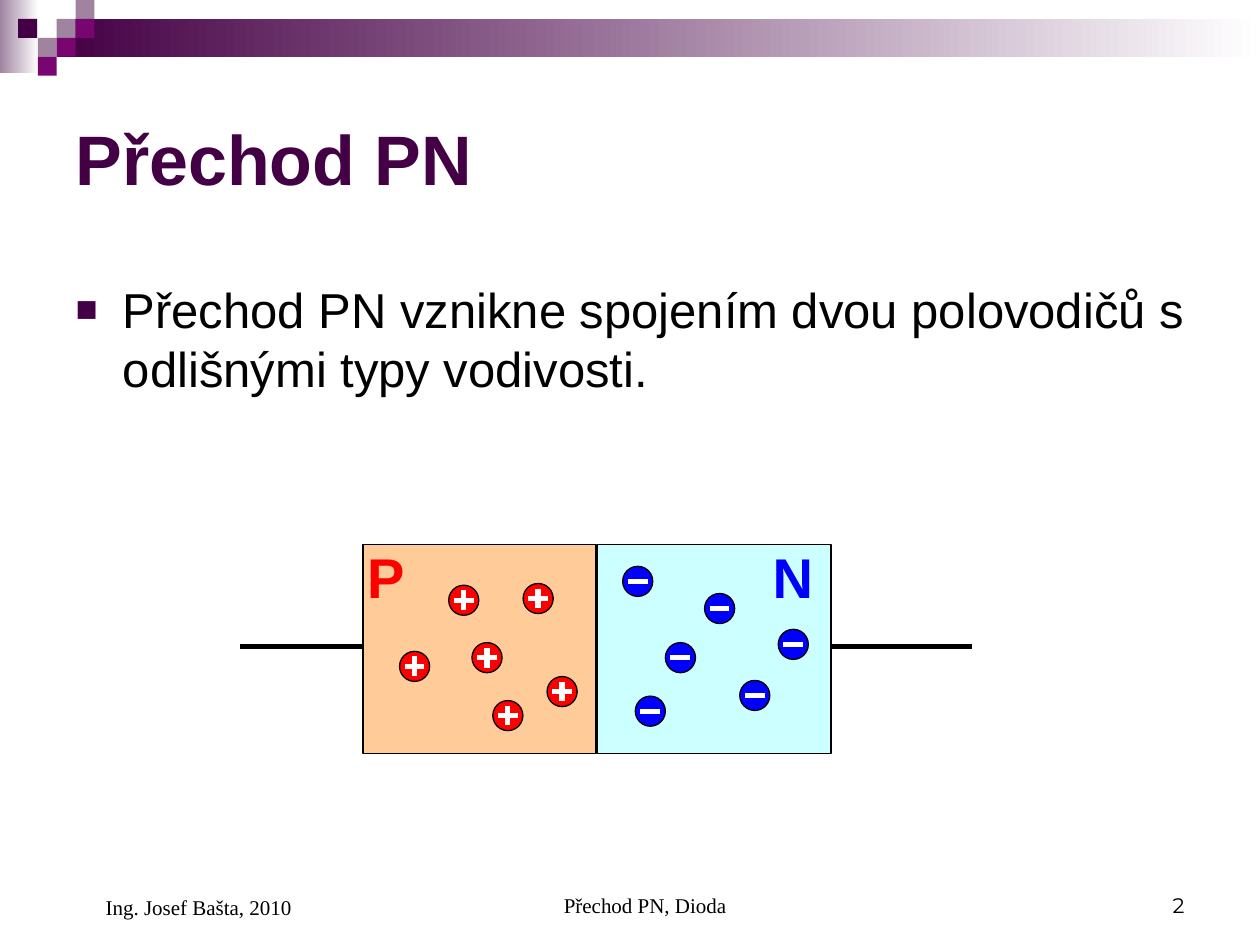
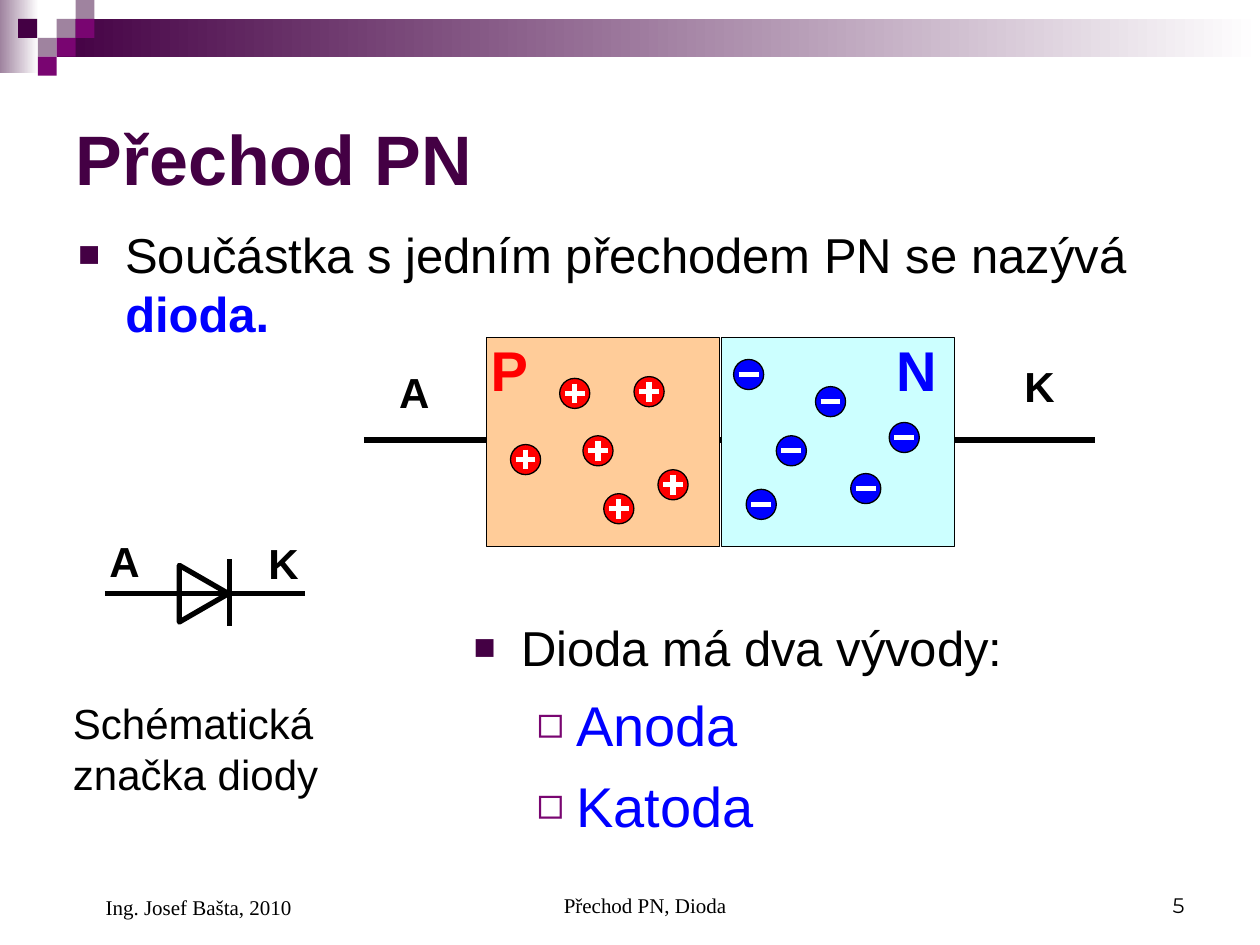
from typing import NamedTuple

from lxml.etree import SubElement
from pptx import Presentation
from pptx.dml.color import RGBColor
from pptx.enum.shapes import MSO_CONNECTOR, MSO_SHAPE
from pptx.enum.text import MSO_ANCHOR, MSO_AUTO_SIZE, PP_ALIGN
from pptx.oxml.ns import qn
from pptx.util import Pt

COLORS = {
    "plum": "440044",
    "violet": "790571",
    "mauve": "9F839F",
    "white": "FFFFFF",
    "black": "000000",
    "red": "FF0000",
    "blue": "0000FF",
    "p_region": "FFCC99",
    "n_region": "CCFFFF",
}


class Frame(NamedTuple):
    left: float
    top: float
    width: float
    height: float


class Span(NamedTuple):
    text: str
    size: float
    color: str = "black"
    bold: bool = False
    font: str = "Arial"


class Bullet(NamedTuple):
    symbol: str
    color: str
    percent: int
    margin: float
    hanging: float
    level: int


class Item(NamedTuple):
    spans: list[Span]
    bullet: Bullet
    space_before: float = 0


class Footer(NamedTuple):
    frame: Frame
    align: PP_ALIGN
    margin: float
    font: str


class Tile(NamedTuple):
    left: float
    top: float
    color: str


MAIN = Bullet("■", "plum", 75, 27, 27, 0)
SUB = Bullet("◻", "violet", 80, 58.5, 22.5, 1)
TITLE_FRAME = Frame(36, 36, 648, 108)
TILE_SIZE = 10.8
TILES = [
    Tile(32.4, 10.8, "mauve"),
    Tile(43.2, 0, "mauve"),
    Tile(43.2, 10.8, "violet"),
    Tile(21.6, 21.6, "mauve"),
    Tile(10.4, 10.8, "plum"),
    Tile(32.4, 21.6, "violet"),
    Tile(21.6, 32.4, "violet"),
]
BANDS = [(Frame(0, 0, 22, 42), "mauve"), (Frame(32.4, 10.8, 687.6, 21.6), "plum")]
AUTHOR = Footer(Frame(36, 492, 168, 37.2), PP_ALIGN.LEFT, 17.3, "Times New Roman")
TOPIC = Footer(Frame(246, 492, 228, 36), PP_ALIGN.CENTER, 17.3, "Times New Roman")
NUMBER = Footer(Frame(516, 492, 168, 36), PP_ALIGN.RIGHT, 0, "Montserrat")

REGION_WIDTH, REGION_HEIGHT, REGION_STEP = 133.2, 119.5, 134.2
CHARGE_SIZE, SIGN_SIZE = 17.2, 11.3
HOLES = [(50.4, 32), (22.3, 69.8), (92.9, 31), (63.7, 64.8), (106.6, 84.2), (75.6, 97.9)]
ELECTRONS = [(149.8, 21.2), (196.6, 36.7), (174.2, 64.8), (157, 95.4), (216.7, 86.4), (238.7, 57.2)]


def rgb(name: str) -> RGBColor:
    return RGBColor.from_string(COLORS[name])


def place(shape, frame: Frame) -> None:
    shape.left, shape.top, shape.width, shape.height = map(Pt, frame)


def add_spans(para, spans: list[Span]) -> None:
    for item in spans:
        span = para.add_run()
        span.text = item.text
        span.font.name = item.font
        span.font.size = Pt(item.size)
        span.font.bold = item.bold
        span.font.color.rgb = rgb(item.color)


def add_line(page, x1: float, y1: float, x2: float, y2: float, color: str = "black") -> None:
    line = page.shapes.add_connector(MSO_CONNECTOR.STRAIGHT, Pt(x1), Pt(y1), Pt(x2), Pt(y2))
    line.line.color.rgb = rgb(color)
    line.line.width = Pt(3)
    SubElement(line._element.spPr, qn("a:effectLst"))


def add_figure(page, kind: MSO_SHAPE, frame: Frame, fill: str | None, line_width: float = 0):
    shape = page.shapes.add_shape(kind, *map(Pt, frame))
    shape.shadow.inherit = False
    if fill:
        shape.fill.solid()
        shape.fill.fore_color.rgb = rgb(fill)
    else:
        shape.fill.background()
    if line_width:
        shape.line.color.rgb = rgb("black")
        shape.line.width = Pt(line_width)
    else:
        shape.line.fill.background()
    return shape


def add_label(page, frame: Frame, span: Span) -> None:
    box = page.shapes.add_textbox(*map(Pt, frame))
    box.text_frame.word_wrap = True
    box.text_frame.auto_size = MSO_AUTO_SIZE.SHAPE_TO_FIT_TEXT
    add_spans(box.text_frame.paragraphs[0], [span])


def add_footer(page, footer: Footer, text: str) -> None:
    box = page.shapes.add_textbox(*map(Pt, footer.frame))
    box.text_frame.word_wrap = True
    box.text_frame.vertical_anchor = MSO_ANCHOR.BOTTOM
    para = box.text_frame.paragraphs[0]
    para.alignment = footer.align
    para._p.get_or_add_pPr().set("marL", str(Pt(footer.margin)))
    add_spans(para, [Span(text, 12, font=footer.font)])


def set_bullet(para, bullet: Bullet) -> None:
    para.level = bullet.level
    props = para._p.get_or_add_pPr()
    props.set("marL", str(Pt(bullet.margin)))
    props.set("indent", str(-Pt(bullet.hanging)))
    color = SubElement(props, qn("a:buClr"))
    SubElement(color, qn("a:srgbClr"), val=COLORS[bullet.color])
    SubElement(props, qn("a:buSzPct"), val=str(bullet.percent * 1000))
    SubElement(props, qn("a:buChar"), char=bullet.symbol)


def fill_list(body, frame: Frame, items: list[Item]) -> None:
    place(body, frame)
    text = body.text_frame
    text.auto_size = MSO_AUTO_SIZE.NONE
    for index, item in enumerate(items):
        para = text.add_paragraph() if index else text.paragraphs[0]
        set_bullet(para, item.bullet)
        para.space_before = Pt(item.space_before)
        add_spans(para, item.spans)


def add_page(deck, layout: int, number: str):
    page = deck.slides.add_slide(deck.slide_layouts[layout])
    for frame, color in BANDS:
        band = add_figure(page, MSO_SHAPE.RECTANGLE, frame, color)
        band.fill.gradient()
        band.fill.gradient_angle = 0
        for stop, name in zip(band.fill.gradient_stops, (color, "white")):
            stop.color.rgb = rgb(name)
    for tile in TILES:
        frame = Frame(tile.left, tile.top, TILE_SIZE, TILE_SIZE)
        add_figure(page, MSO_SHAPE.RECTANGLE, frame, tile.color)

    title = page.shapes.title
    place(title, TITLE_FRAME)
    title.text_frame.auto_size = MSO_AUTO_SIZE.NONE
    title.text_frame.vertical_anchor = MSO_ANCHOR.MIDDLE
    para = title.text_frame.paragraphs[0]
    para.alignment = PP_ALIGN.LEFT
    add_spans(para, [Span("Přechod PN", 40, "plum", True)])

    add_footer(page, TOPIC, "Přechod PN, Dioda")
    add_footer(page, NUMBER, number)
    add_footer(page, AUTHOR, "Ing. Josef Bašta, 2010")
    return page


def add_charge(page, x: float, y: float, color: str, positive: bool) -> None:
    radius, arm = CHARGE_SIZE / 2, SIGN_SIZE / 2
    frame = Frame(x - radius, y - radius, CHARGE_SIZE, CHARGE_SIZE)
    add_figure(page, MSO_SHAPE.OVAL, frame, color, 0.75)
    add_line(page, x - arm, y, x + arm, y, "white")
    if positive:
        add_line(page, x, y - arm, x, y + arm, "white")


def add_junction(page, left: float, top: float, charge_shift: float = 0) -> None:
    add_line(page, left - 70, top + 58.6, left + 348, top + 58.6)
    for index, fill in enumerate(("p_region", "n_region")):
        frame = Frame(left + index * REGION_STEP, top, REGION_WIDTH, REGION_HEIGHT)
        add_figure(page, MSO_SHAPE.RECTANGLE, frame, fill, 0.75)
    for text, offset, color in (("P", -4.7, "red"), ("N", 227, "blue")):
        add_label(page, Frame(left + offset, top - 4.6, 41.8, 46), Span(text, 32, color, True))
    for charges, color in ((HOLES, "red"), (ELECTRONS, "blue")):
        for x, y in charges:
            add_charge(page, left + x + charge_shift, top + y, color, charges is HOLES)


def add_diode_symbol(page) -> None:
    add_line(page, 60, 339, 174.5, 339)
    triangle = add_figure(page, MSO_SHAPE.ISOSCELES_TRIANGLE, Frame(100.3, 325.2, 32.4, 28.1), None, 3)
    triangle.rotation = 90
    add_line(page, 131, 319.7, 131, 357.8)


def build_junction_page(deck) -> None:
    page = add_page(deck, 1, "2")
    text = "Přechod PN vznikne spojením dvou polovodičů s odlišnými typy vodivosti."
    fill_list(page.placeholders[1], Frame(36, 156, 648, 107.3), [Item([Span(text, 28)], MAIN)])
    add_junction(page, 207.4, 311, 7.2)


def build_diode_page(deck) -> None:
    page = add_page(deck, 3, "5")
    intro = [Span("Součástka s jedním přechodem PN se nazývá ", 28), Span("dioda.", 28, "blue", True)]
    fill_list(page.placeholders[1], Frame(37.4, 124.6, 648, 75.6), [Item(intro, MAIN)])
    leads = [Item([Span("Dioda má dva vývody:", 28)], MAIN)]
    leads += [Item([Span(name, 32, "blue")], SUB, 8) for name in ("Anoda", "Katoda")]
    fill_list(page.placeholders[2], Frame(263.5, 349.2, 401.8, 132.5), leads)
    add_junction(page, 278, 192.8)
    add_diode_symbol(page)
    for text, left, top in (("A", 55.4, 302.4), ("K", 146.2, 303.8), ("A", 221, 206), ("K", 578.2, 202.3)):
        add_label(page, Frame(left, top, 35.3, 36), Span(text, 24, bold=True))
    add_label(page, Frame(34.6, 395.3, 173.5, 64.8), Span("Schématická značka diody", 24))


def main() -> None:
    deck = Presentation()
    deck.slide_width, deck.slide_height = Pt(720), Pt(540)
    build_junction_page(deck)
    build_diode_page(deck)
    deck.save("out.pptx")


if __name__ == "__main__":
    main()
